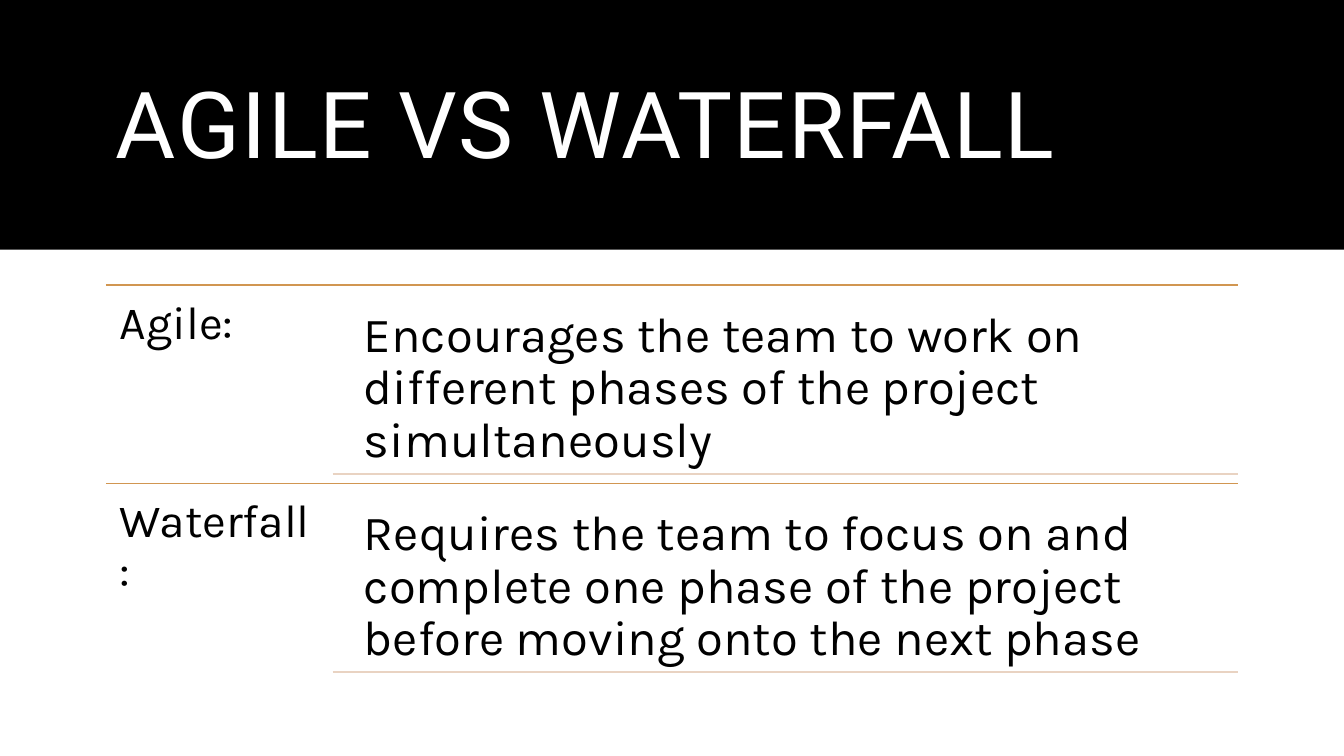
from lxml import etree
from pptx import Presentation
from pptx.dml.color import RGBColor
from pptx.enum.shapes import MSO_CONNECTOR, MSO_SHAPE
from pptx.enum.text import MSO_ANCHOR
from pptx.oxml.ns import qn
from pptx.util import Pt

RECTANGLE = MSO_SHAPE.RECTANGLE
STRAIGHT = MSO_CONNECTOR.STRAIGHT
TOP = MSO_ANCHOR.TOP
MIDDLE = MSO_ANCHOR.MIDDLE

SLIDE_WIDTH, SLIDE_HEIGHT = 960, 540
LEFT, RIGHT = 75.6, 884.2
LABEL_WIDTH = 162
DESCRIPTION_LEFT = 249.1
FIRST_ROW_TOP, ROW_HEIGHT = 203.7, 141.5
ROW_GAP = 6.7

METHODS = [
    ("Agile:", "Encourages the team to work on different phases of the project simultaneously"),
    ("Waterfall:", "Requires the team to focus on and complete one phase of the project "
                   "before moving onto the next phase"),
]


def color(hex_code):
    return RGBColor.from_string(hex_code)


def add_banner(slide, height):
    banner = slide.shapes.add_shape(RECTANGLE, 0, 0, Pt(SLIDE_WIDTH), Pt(height))
    banner.shadow.inherit = False
    banner.fill.solid()
    banner.fill.fore_color.rgb = color("000000")
    banner.line.fill.background()


def add_text(slide, text, left, top, width, height, size, font, hex_code,
             inset_x, inset_y, anchor=TOP):
    box = slide.shapes.add_textbox(Pt(left), Pt(top), Pt(width), Pt(height))
    frame = box.text_frame
    frame.word_wrap = True
    frame.vertical_anchor = anchor
    frame.margin_left = frame.margin_right = Pt(inset_x)
    frame.margin_top = frame.margin_bottom = Pt(inset_y)
    paragraph = frame.paragraphs[0]
    paragraph.line_spacing = 0.9
    run = paragraph.add_run()
    run.text = text
    paragraph.font.size = Pt(size)
    paragraph.font.name = font
    paragraph.font.color.rgb = color(hex_code)
    return run


def add_title(slide, text):
    run = add_text(slide, text, LEFT, 25.2, RIGHT - LEFT, 133.9, 66, "Roboto", "FFFFFF",
                   7.2, 3.6, MIDDLE)
    run.font._element.set("spc", "120")


def add_rule(slide, left, y, hex_code):
    rule = slide.shapes.add_connector(STRAIGHT, Pt(left), Pt(y), Pt(RIGHT), Pt(y))
    rule.line.color.rgb = color(hex_code)
    rule.line.width = Pt(1)
    etree.SubElement(rule._element.spPr, qn("a:effectLst"))


def add_method(slide, top, name, description):
    description_height = ROW_HEIGHT - 2 * ROW_GAP
    add_rule(slide, LEFT, top, "D19651")
    add_text(slide, name, LEFT, top, LABEL_WIDTH, ROW_HEIGHT, 33, "Karla", "000000", 10, 10)
    add_text(slide, description, DESCRIPTION_LEFT, top + ROW_GAP, RIGHT - DESCRIPTION_LEFT,
             description_height, 35, "Karla", "000000", 10.8, 10.8)
    add_rule(slide, LEFT + LABEL_WIDTH, top + ROW_GAP + description_height, "E9D3C2")


def main():
    presentation = Presentation()
    presentation.slide_width = Pt(SLIDE_WIDTH)
    presentation.slide_height = Pt(SLIDE_HEIGHT)
    slide = presentation.slides.add_slide(presentation.slide_layouts[6])
    add_banner(slide, 178.4)
    add_title(slide, "AGILE VS WATERFALL")
    for row, (name, description) in enumerate(METHODS):
        add_method(slide, FIRST_ROW_TOP + row * ROW_HEIGHT, name, description)
    presentation.save("out.pptx")


if __name__ == "__main__":
    main()
